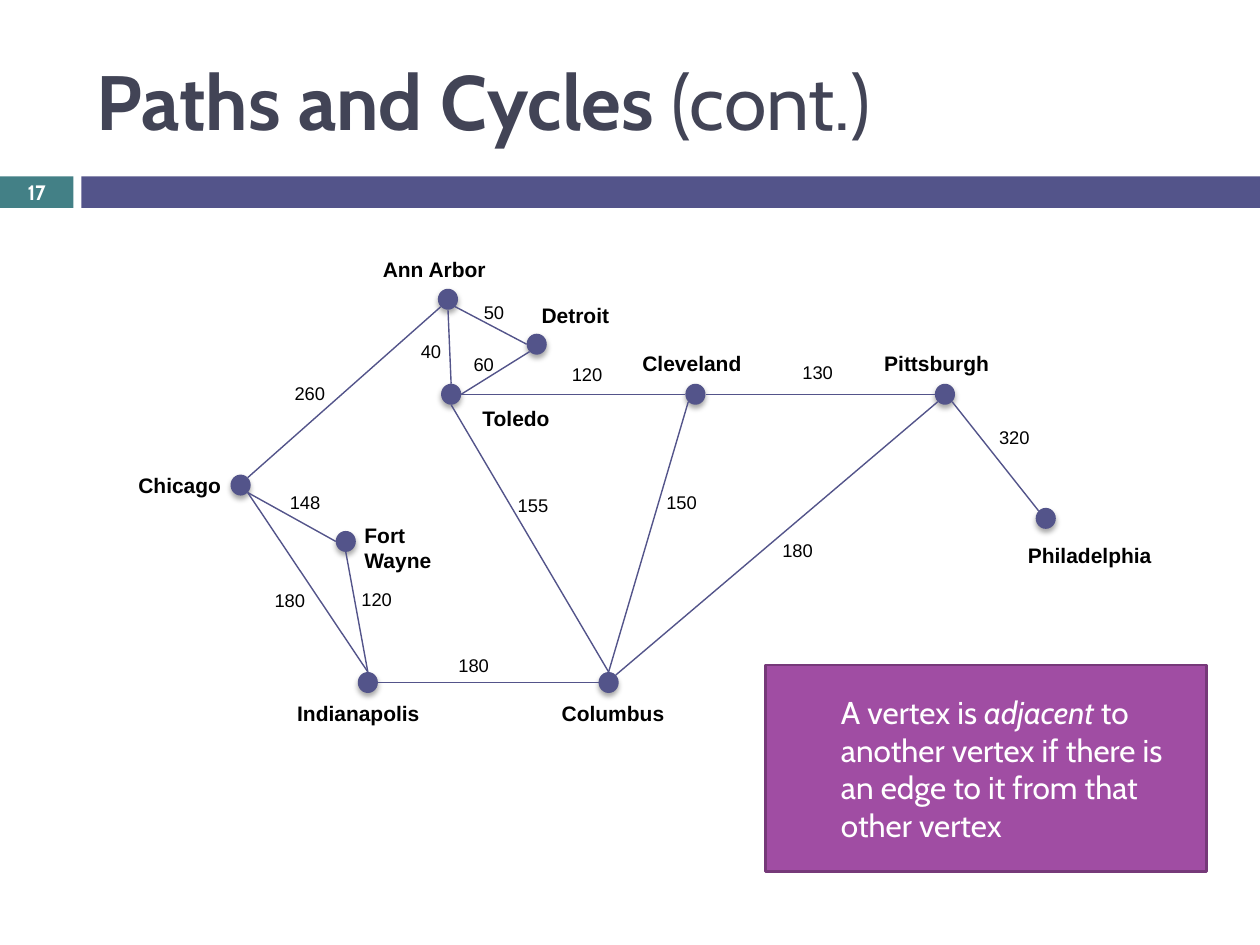
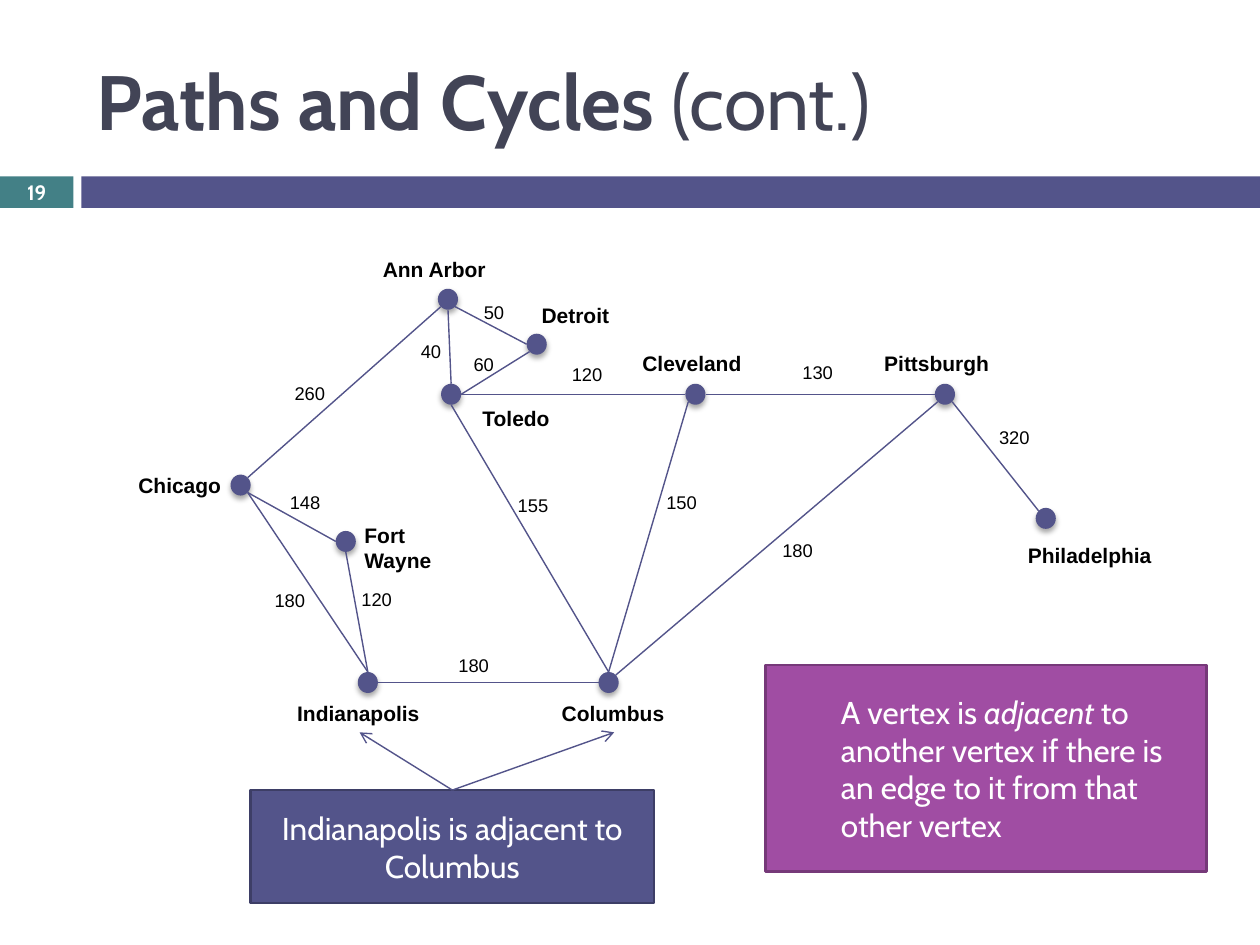
from lxml import etree
from pptx import Presentation
from pptx import util as u
from pptx.dml import color
from pptx.enum import shapes as sh, text as tx
from pptx.oxml import ns

Pt = u.Pt
HUE = {
    "ink": "000000", "paper": "FFFFFF", "title": "424456", "teal": "438086",
    "indigo": "53548A", "navy": "3D3E66", "plum": "A04DA3", "grape": "763979",
}
DOT_W, DOT_H = 11.5, 12
DIAG = 0.71
SIDES = {
    "n": (0, -1), "s": (0, 1), "e": (1, 0), "w": (-1, 0),
    "ne": (DIAG, -DIAG), "nw": (-DIAG, -DIAG),
    "se": (DIAG, DIAG), "sw": (-DIAG, DIAG),
}
# city: dot centre, then left, top and width of its label
CITIES = {
    "Indianapolis": ((210.2, 390), (162.7, 396.7, 85.7)),
    "Columbus": ((347.8, 390), (313.9, 396.7, 74.2)),
    "Chicago": ((137.5, 277.2), (72, 266.4, 62.6)),
    "Fort\nWayne": ((197.6, 309.4), (201.2, 295.2, 53.3)),
    "Toledo": ((257.8, 225.3), (268.6, 228.2, 53.3)),
    "Ann Arbor": ((256, 171), (211.7, 143.3, 74.2)),
    "Detroit": ((306.7, 196.7), (302.4, 169.2, 53.3)),
    "Cleveland": ((397.4, 225.3), (360, 196.6, 72)),
    "Pittsburgh": ((540, 225.3), (498.2, 196.6, 75.6)),
    "Philadelphia": ((597.6, 296.2), (580.3, 306.7, 86.4)),
}
ROADS = [
    ("Indianapolis", "e", "Columbus", "w", 180, (271.4, 380.3)),
    ("Indianapolis", "n", "Fort\nWayne", "s", 120, (216, 342.9)),
    ("Indianapolis", "n", "Chicago", "se", 180, (166.3, 343.5)),
    ("Fort\nWayne", "w", "Chicago", "se", 148, (175, 287.5)),
    ("Toledo", "n", "Ann Arbor", "s", 40, (246.6, 201.2)),
    ("Toledo", "e", "Detroit", "sw", 60, (276.8, 208.4)),
    ("Detroit", "w", "Ann Arbor", "se", 50, (282.6, 178.7)),
    ("Ann Arbor", "sw", "Chicago", "ne", 260, (177.8, 224.8)),
    ("Toledo", "s", "Columbus", "n", 155, (305.3, 289)),
    ("Columbus", "n", "Cleveland", "sw", 150, (390.2, 287.5)),
    ("Cleveland", "e", "Pittsburgh", "w", 130, (468, 213.3)),
    ("Cleveland", "w", "Toledo", "e", 120, (336.2, 214)),
    ("Pittsburgh", "se", "Philadelphia", "nw", 320, (580.3, 250)),
    ("Pittsburgh", "sw", "Columbus", "ne", 180, (456.5, 314.8)),
]


def rgb(name):
    return color.RGBColor.from_string(HUE[name])


def write(shape, runs, size=18, face="Cabin", hue="paper", bold=False,
          align="LEFT", anchor="MIDDLE", wrap=True, indent=0):
    frame = shape.text_frame
    frame.word_wrap = wrap
    frame.auto_size = tx.MSO_AUTO_SIZE.NONE if wrap else tx.MSO_AUTO_SIZE.SHAPE_TO_FIT_TEXT
    frame.vertical_anchor = getattr(tx.MSO_ANCHOR, anchor)
    para = frame.paragraphs[0]
    para.alignment = getattr(tx.PP_ALIGN, align)
    if indent:
        para._p.get_or_add_pPr().set("marL", str(Pt(indent)))
    if isinstance(runs, str):
        runs = [(runs, {})]
    for words, style in runs:
        for row, line in enumerate(words.split("\n")):
            if row:
                para.add_line_break()
            run = para.add_run()
            run.text = line
            font = run.font
            font.size, font.name = Pt(size), face
            font.color.rgb = rgb(hue)
            font.bold = style.get("bold", bold)
            font.italic = style.get("italic", False)


def form(slide, kind, left, top, width, height, fill, edge=None):
    shape = slide.shapes.add_shape(kind, Pt(left), Pt(top), Pt(width), Pt(height))
    shape.shadow.inherit = False
    shape.fill.solid()
    shape.fill.fore_color.rgb = rgb(fill)
    if edge:
        shape.line.color.rgb = rgb(edge)
        shape.line.width = Pt(1.5)
    else:
        shape.line.fill.background()
    return shape


def box(slide, *place, **paint):
    return form(slide, sh.MSO_SHAPE.RECTANGLE, *place, **paint)


def dot(slide, x, y):
    shape = form(slide, sh.MSO_SHAPE.OVAL, x - DOT_W / 2, y - DOT_H / 2,
                 DOT_W, DOT_H, "indigo")
    glow = shape._element.spPr.find(ns.qn("a:effectLst"))
    drop = etree.SubElement(glow, ns.qn("a:outerShdw"), blurRad=str(Pt(3)),
                            dist=str(Pt(2)), dir="5400000", rotWithShape="0")
    tint = etree.SubElement(drop, ns.qn("a:srgbClr"), val=HUE["ink"])
    etree.SubElement(tint, ns.qn("a:alpha"), val="35000")


def link(slide, start, end, arrow=False):
    line = slide.shapes.add_connector(
        sh.MSO_CONNECTOR.STRAIGHT, *(Pt(v) for v in (*start, *end)))
    line.line.color.rgb = rgb("indigo")
    line.line.width = Pt(0.79)
    if arrow:
        etree.SubElement(line.line._get_or_add_ln(), ns.qn("a:tailEnd"), type="arrow")
    etree.SubElement(line._element.spPr, ns.qn("a:effectLst"))


def label(slide, words, left, top, width, height, **style):
    area = slide.shapes.add_textbox(Pt(left), Pt(top), Pt(width), Pt(height))
    write(area, words, face="Arial", hue="ink", anchor="TOP", wrap=False, **style)


def port(city, side):
    (x, y), (dx, dy) = CITIES[city][0], SIDES[side]
    return x + dx * DOT_W / 2, y + dy * DOT_H / 2


def graph(slide):
    for centre, _ in CITIES.values():
        dot(slide, *centre)
    for one, out, two, into, miles, (x, y) in ROADS:
        link(slide, port(one, out), port(two, into))
        width = 33 if miles > 99 else 26.5
        label(slide, str(miles), x - width / 2, y - 10.2, width, 20.4, size=10.5)
    for city, (_, place) in CITIES.items():
        height = 36.4 if "\n" in city else 21.8
        label(slide, city, *place, height, size=12, bold=True)


def page(deck, number):
    slide = deck.slides.add_slide(deck.slide_layouts[5])
    title = slide.shapes.title
    title.left, title.top, title.width, title.height = map(Pt, (48, 18, 642, 78))
    write(title, [("Paths and Cycles ", {"bold": True}), ("(cont.)", {})],
          size=44, hue="title")
    badge = box(slide, 0, 100.8, 42, 18, fill="teal")
    badge.text_frame.margin_top = badge.text_frame.margin_bottom = 0
    write(badge, str(number), size=11.9, bold=True, align="CENTER")
    box(slide, 46.5, 100.8, 673.5, 18, fill="indigo")
    graph(slide)
    rule = box(slide, 437.5, 380, 252, 118, fill="plum", edge="grape")
    write(rule, [("A vertex is ", {}), ("adjacent", {"italic": True}),
                 (" to another vertex if there is an edge to it from that other vertex", {})],
          indent=36)
    return slide


def main():
    deck = Presentation()
    deck.slide_width, deck.slide_height = Pt(720), Pt(540)
    page(deck, 17)
    slide = page(deck, 19)
    note = box(slide, 143.3, 451.5, 230.4, 64.5, fill="indigo", edge="navy")
    write(note, "Indianapolis is adjacent to Columbus", align="CENTER")
    for tip in ((205.5, 418.5), (351, 418.5)):
        link(slide, (258.5, 451.5), tip, arrow=True)
    deck.save("out.pptx")


if __name__ == "__main__":
    main()
